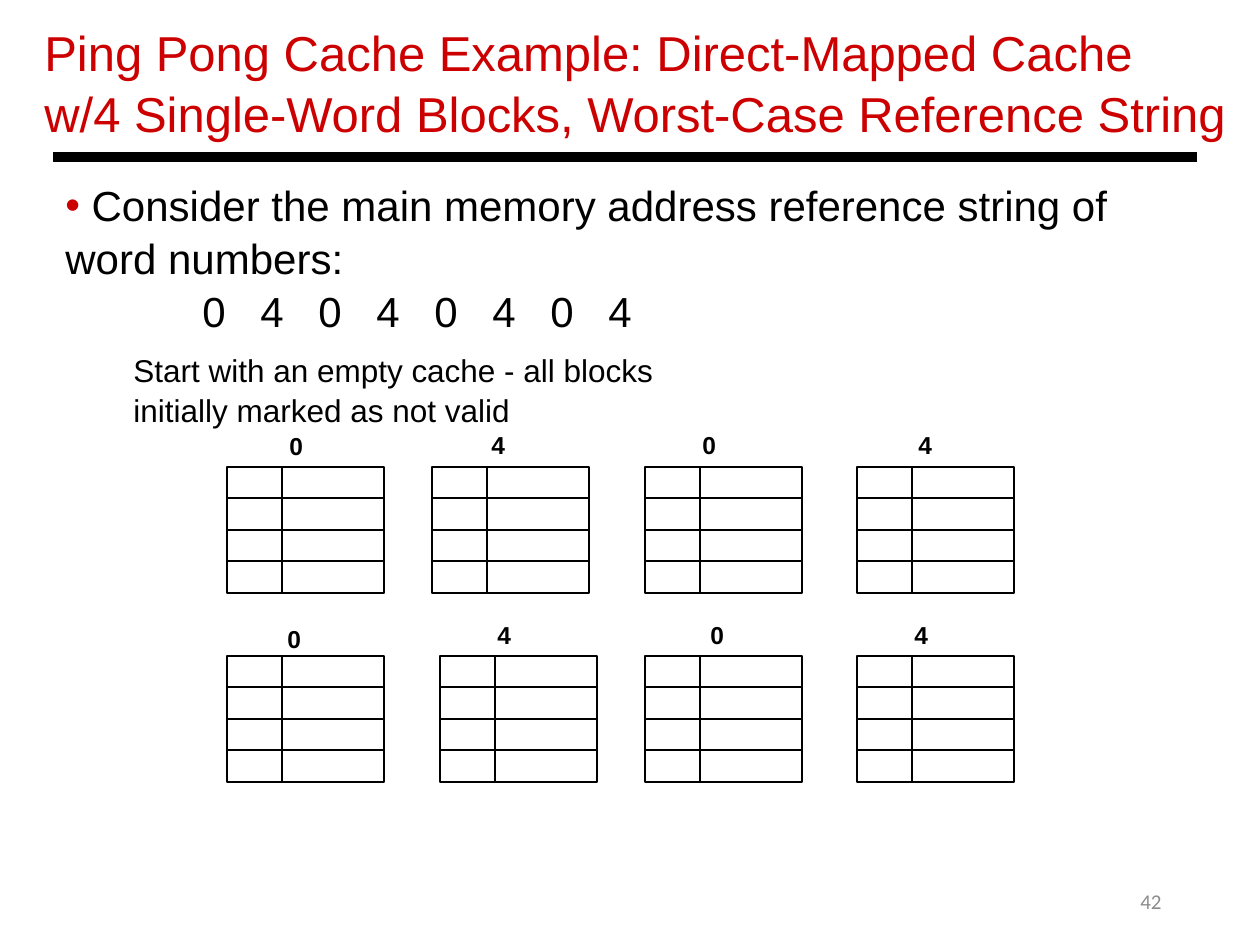
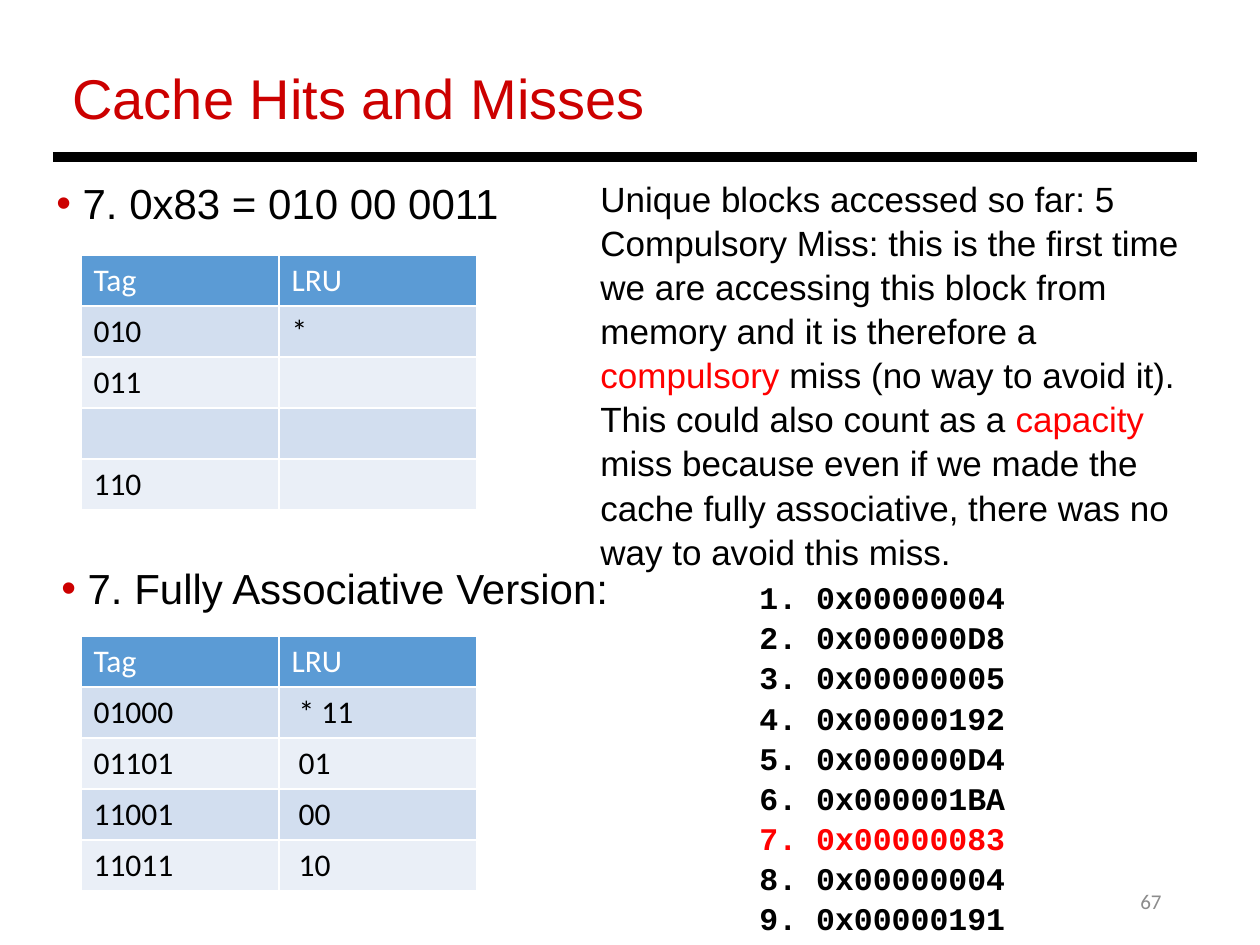
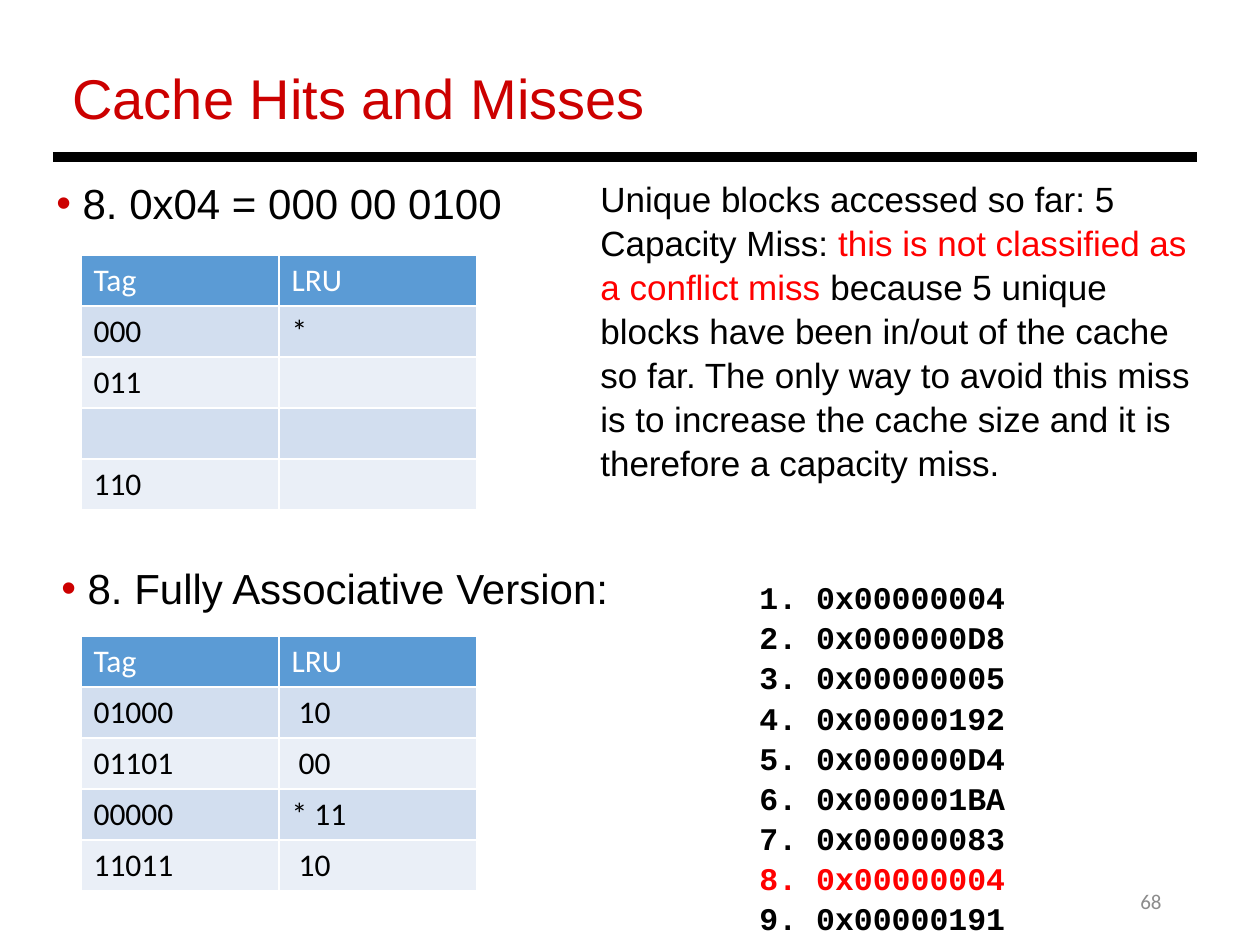
from dataclasses import dataclass

from lxml import etree
from pptx import Presentation
from pptx.dml.color import RGBColor
from pptx.enum.shapes import MSO_CONNECTOR, MSO_SHAPE
from pptx.enum.text import MSO_ANCHOR, PP_ALIGN
from pptx.oxml.ns import qn
from pptx.util import Pt

LINE = MSO_CONNECTOR.STRAIGHT
RECT = MSO_SHAPE.RECTANGLE
LEFT, RIGHT = PP_ALIGN.LEFT, PP_ALIGN.RIGHT
TOP, MIDDLE = MSO_ANCHOR.TOP, MSO_ANCHOR.MIDDLE


@dataclass(frozen=True)
class Theme:
    ink: str = "000000"
    title: str = "CC0000"
    mark: str = "FF0000"
    number: str = "8C8C8C"
    white: str = "FFFFFF"
    head: str = "5B9BD5"
    bands: tuple = ("D2DEEF", "EAEFF7")
    body: str = "Arial"
    grid: str = "Calibri"
    code: str = "Courier New"
    big: int = 32
    long: int = 28
    point: int = 24
    note: int = 20
    small: int = 18
    label: int = 14
    foot: int = 12
    space: float = 1.05
    loose: float = 1.06


def px(count):
    return round(count * 914400 / 126)


def box(*sides):
    return [px(side) for side in sides]


def rgb(code):
    return RGBColor.from_string(code)


class Deck:
    def __init__(self, theme):
        self.theme = theme
        self.file = Presentation()
        self.file.slide_width, self.file.slide_height = box(1260, 945)
        self.slide = None

    def page(self, number, title, place, size):
        theme = self.theme
        self.slide = self.file.slides.add_slide(self.file.slide_layouts[6])
        self.text((890, 876, 284, 50), [str(number)], theme.foot, theme.number,
                  theme.grid, align=RIGHT, anchor=MIDDLE, space=1.0)
        self.text(place, [title], size, theme.title)
        self.line(53, 157, 1197, 157, 6)

    def style(self, run, size, color, face, bold=False):
        font = run.font
        font.size, font.name, font.bold = Pt(size), face, bold
        font.color.rgb = rgb(color)

    def fill(self, para, line, size, color, face, bold):
        for index, part in enumerate(line.split("|")):
            if not part:
                continue
            start = len(para.runs)
            if start:
                para.add_run().text = part
            else:
                para.text = part
            shade = self.theme.mark if index % 2 else color
            for run in para.runs[start:]:
                self.style(run, size, shade, face, bold)

    def text(self, place, lines, size, color=None, face=None, bold=False,
             align=LEFT, anchor=TOP, space=None, wrap=True):
        frame = self.slide.shapes.add_textbox(*box(*place)).text_frame
        frame.word_wrap, frame.vertical_anchor = wrap, anchor
        for index, line in enumerate(lines):
            para = frame.add_paragraph() if index else frame.paragraphs[0]
            para.alignment = align
            para.line_spacing = space or self.theme.space
            self.fill(para, line, size, color or self.theme.ink,
                      face or self.theme.body, bold)
        return frame

    def point(self, place, lines):
        frame = self.text(place, lines, self.theme.point)
        props = frame.paragraphs[0]._p.get_or_add_pPr()
        props.set("marL", "0")
        props.set("indent", "0")
        tint = etree.SubElement(props, qn("a:buClr"))
        etree.SubElement(tint, qn("a:srgbClr"), val=self.theme.title)
        etree.SubElement(props, qn("a:buFont"), typeface=self.theme.body)
        etree.SubElement(props, qn("a:buChar"), char="•")
        return frame

    def tabs(self, para, first, step, count):
        stops = etree.SubElement(para._p.get_or_add_pPr(), qn("a:tabLst"))
        for index in range(count):
            etree.SubElement(stops, qn("a:tab"),
                             pos=str(px(first + index * step)), algn="l")

    def line(self, left, top, right, bottom, width=1):
        rule = self.slide.shapes.add_connector(LINE, *box(left, top, right, bottom))
        rule.line.width = Pt(width)
        rule.line.color.rgb = rgb(self.theme.ink)
        etree.SubElement(rule._element.spPr, qn("a:effectLst"))

    def stack(self, left, top, width, height, rows=4):
        shape = self.slide.shapes.add_shape(RECT, *box(left, top, width, height))
        shape.shadow.inherit = False
        shape.fill.background()
        shape.line.width = Pt(1)
        shape.line.color.rgb = rgb(self.theme.ink)
        for row in range(1, rows):
            level = top + row * height // rows
            self.line(left, level, left + width, level)

    def cache(self, left, top):
        self.stack(left, top, 55, 126)
        self.stack(left + 55, top, 102, 126)

    def edge(self, cell):
        props = cell._tc.get_or_add_tcPr()
        for spot, side in enumerate(("lnL", "lnR", "lnT", "lnB")):
            rule = etree.Element(qn("a:" + side), w=str(Pt(1)))
            solid = etree.SubElement(rule, qn("a:solidFill"))
            etree.SubElement(solid, qn("a:srgbClr"), val=self.theme.white)
            props.insert(spot, rule)

    def table(self, left, top, rows):
        theme = self.theme
        rows = [("Tag", "LRU"), *rows]
        table = self.slide.shapes.add_table(
            len(rows), 2, *box(left, top, 396, 51 * len(rows))).table
        table.first_row = table.horz_banding = False
        for r, row in enumerate(rows):
            back = theme.bands[(r - 1) % 2] if r else theme.head
            color = theme.ink if r else theme.white
            for c, value in enumerate(row):
                cell = table.cell(r, c)
                cell.fill.solid()
                cell.fill.fore_color.rgb = rgb(back)
                self.edge(cell)
                self.fill(cell.text_frame.paragraphs[0], value, theme.small,
                          color, theme.grid, False)


BANKS = [
    (467, [(227, 277, 423), (432, 479, 422), (645, 690, 422), (857, 906, 422)]),
    (656, [(227, 275, 616), (440, 485, 612), (645, 698, 612), (857, 902, 612)]),
]

CALLS = ["00000004", "000000D8", "00000005", "00000192", "000000D4",
         "000001BA", "00000083", "00000004", "00000191"]

STEPS = [
    dict(page=67, step=7, address="0x83 = 010 00 0011",
         mapped=[("010", "*"), ("011", ""), ("", ""), ("110", "")],
         full=[("01000", " * 11"), ("01101", " 01"), ("11001", " 00"), ("11011", " 10")],
         reason="Compulsory Miss: this is the first time we are accessing this block "
                "from memory and it is therefore a |compulsory| miss (no way to avoid it). "
                "This could also count as a |capacity| miss because even if we made the "
                "cache fully associative, there was no way to avoid this miss."),
    dict(page=68, step=8, address="0x04 = 000 00 0100",
         mapped=[("000", "*"), ("011", ""), ("", ""), ("110", "")],
         full=[("01000", " 10"), ("01101", " 00"), ("00000", "* 11"), ("11011", " 10")],
         reason="Capacity Miss: |this is not classified as a conflict miss |because 5 "
                "unique blocks have been in/out of the cache so far. The only way to avoid "
                "this miss is to increase the cache size and it is therefore a capacity miss."),
]


def pong(deck):
    theme = deck.theme
    deck.page(42, "Ping Pong Cache Example: Direct-Mapped Cache\n"
                  "w/4 Single-Word Blocks, Worst-Case Reference String",
              (32, 13, 1221, 131), theme.long)
    frame = deck.point((53, 171, 1139, 217), [
        " Consider the main memory address reference string of word numbers:",
        "\t0\t4\t0\t4\t0\t4\t0\t4"])
    deck.tabs(frame.paragraphs[1], 137, 58, 8)
    for top, banks in BANKS:
        for index, (left, x, y) in enumerate(banks):
            deck.cache(left, top)
            deck.text((x, y, 39, 43), ["04"[index % 2]], theme.label,
                      bold=True, wrap=False)
    deck.text((121, 343, 609, 89),
              ["Start with an empty cache - all blocks initially marked as not valid"],
              theme.small)


def miss(deck, page, step, address, mapped, full, reason):
    theme = deck.theme
    deck.page(page, "Cache Hits and Misses", (60, 54, 1108, 81), theme.big)
    deck.point((44, 169, 1124, 63), [f" {step}. {address}"])
    calls = [f"{n}. 0x{call}" for n, call in enumerate(CALLS, 1)]
    calls[step - 1] = f"|{calls[step - 1]}|"
    deck.text((747, 570, 347, 357), calls, theme.small, face=theme.code,
              bold=True, space=theme.loose)
    deck.table(81, 255, mapped)
    deck.point((49, 554, 1124, 63), [f" {step}. Fully Associative Version:"])
    deck.table(81, 636, full)
    deck.text((588, 169, 630, 394), ["Unique blocks accessed so far: 5", reason],
              theme.note)


def main():
    deck = Deck(Theme())
    pong(deck)
    for step in STEPS:
        miss(deck, **step)
    deck.file.save("out.pptx")


if __name__ == "__main__":
    main()
